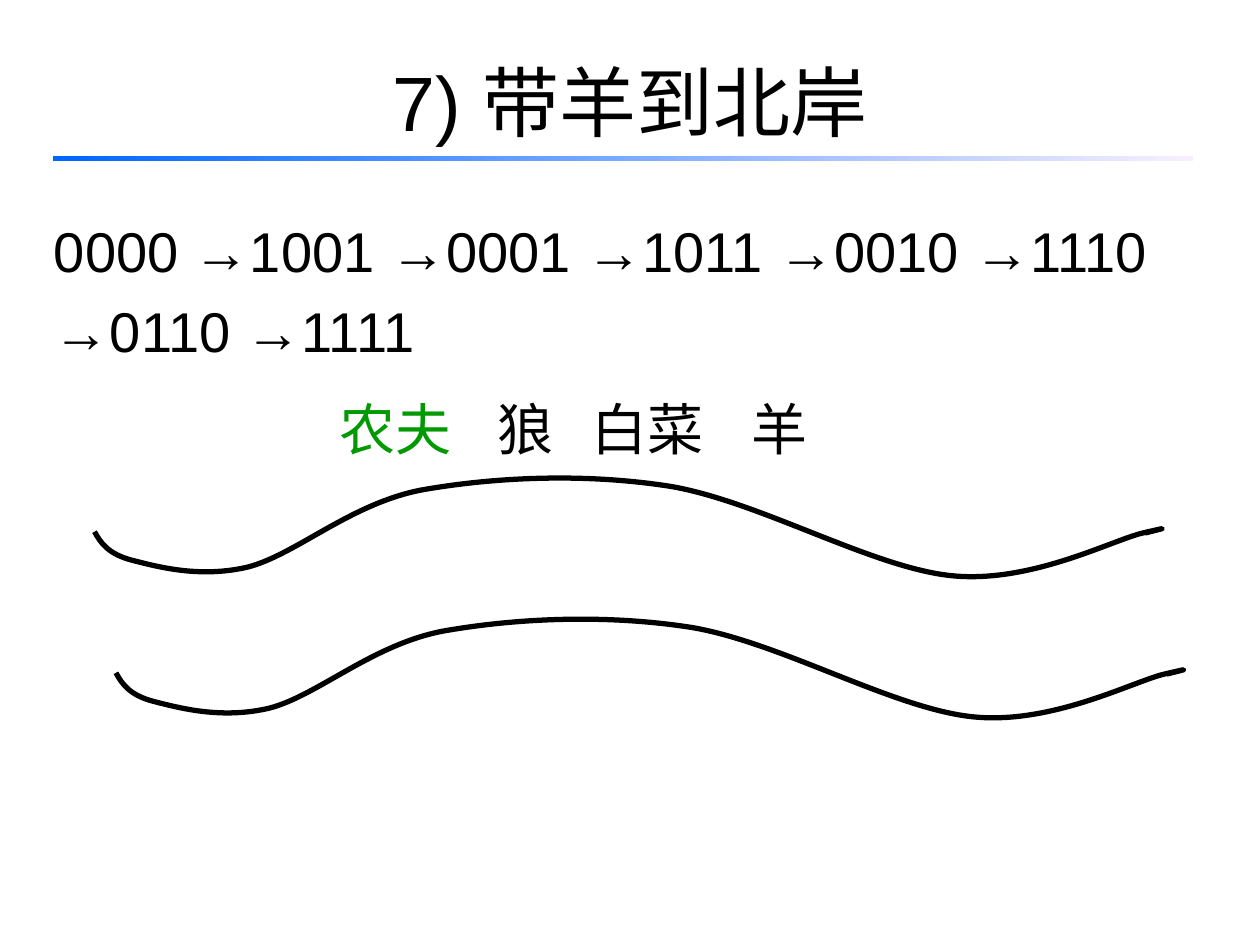
"""Build the river-crossing slide for step 7, taking the sheep to the north bank."""
from lxml.etree import SubElement
from pptx import Presentation
from pptx.dml.color import RGBColor
from pptx.enum.shapes import MSO_SHAPE as Shape
from pptx.enum.text import MSO_ANCHOR as Anchor, PP_ALIGN as Align
from pptx.oxml.ns import qn
from pptx.util import Inches, Pt

BLACK = RGBColor(0x00, 0x00, 0x00)
GREEN = RGBColor(0x00, 0x99, 0x00)
RULE_START = RGBColor(0x00, 0x66, 0xFF)
RULE_END = RGBColor(0xF7, 0xEF, 0xFF)

STEPS = ["0000 →1001 →0001 →1011 →0010 →1110", "→0110 →1111"]
PASSENGERS = [("农夫", 2.4, GREEN), ("狼", 3.65, BLACK), ("白菜", 4.4, BLACK), ("羊", 5.67, BLACK)]
BANK_START = (0.75, 4.22)
BANK_CONTROLS = [
    (0.8, 4.31), (0.86, 4.4), (1.06, 4.45),
    (1.26, 4.5), (1.59, 4.59), (1.97, 4.5),
    (2.35, 4.4), (2.78, 4), (3.34, 3.89),
    (3.9, 3.79), (4.62, 3.75), (5.32, 3.86),
    (6.03, 3.98), (6.93, 4.51), (7.56, 4.57),
    (8.18, 4.63), (8.82, 4.29), (9.07, 4.23),
    (9.33, 4.17), (9.21, 4.2), (9.09, 4.23),
]
BANK_OFFSETS = [(0, 0), (0.17, 1.12)]


def add_text(slide, lines, box, size=32, color=BLACK, align=Align.JUSTIFY,
             anchor=Anchor.TOP, margin=0, indent=0):
    frame = slide.shapes.add_textbox(*map(Inches, box)).text_frame
    frame.word_wrap = True
    frame.vertical_anchor = anchor
    for index, line in enumerate(lines):
        paragraph = frame.add_paragraph() if index else frame.paragraphs[0]
        paragraph.alignment = align
        if index:
            paragraph.space_before = Pt(7.4)
        properties = paragraph._p.get_or_add_pPr()
        properties.set("marL", str(Inches(margin)))
        properties.set("indent", str(Inches(indent)))
        run = paragraph.add_run()
        run.text = line
        run.font.name = "Arial"
        run.font.size = Pt(size)
        run.font.color.rgb = color


def add_title_rule(slide, box):
    rule = slide.shapes.add_shape(Shape.RECTANGLE, *map(Inches, box))
    rule.shadow.inherit = False
    rule.line.fill.background()
    rule.fill.gradient()
    rule.fill.gradient_angle = 0
    for stop, color in zip(rule.fill.gradient_stops, (RULE_START, RULE_END)):
        stop.color.rgb = color


def add_bank(slide, dx, dy):
    start, *controls = [(Inches(x + dx), Inches(y + dy)) for x, y in [BANK_START, *BANK_CONTROLS]]
    builder = slide.shapes.build_freeform(*start)
    builder.add_line_segments(controls, close=False)
    bank = builder.convert_to_shape()
    bank.shadow.inherit = False
    bank.fill.background()
    bank.line.color.rgb = BLACK
    bank.line.width = Pt(3)
    outline = next(bank._element.iter(qn("a:path")))
    segments = outline.findall(qn("a:lnTo"))
    for first in range(0, len(segments), 3):
        curve = SubElement(outline, qn("a:cubicBezTo"))
        for segment in segments[first:first + 3]:
            curve.append(segment[0])
            outline.remove(segment)


def main():
    deck = Presentation()
    deck.slide_width, deck.slide_height = Inches(10), Inches(7.5)
    slide = deck.slides.add_slide(deck.slide_layouts[6])
    add_text(slide, ["7) 带羊到北岸"], (0.5, 0.17, 9, 1.25), size=44,
             align=Align.CENTER, anchor=Anchor.MIDDLE)
    add_title_rule(slide, (0.42, 1.24, 9.05, 0.04))
    for dx, dy in BANK_OFFSETS:
        add_bank(slide, dx, dy)
    add_text(slide, STEPS, (0.33, 1.67, 9.33, 1.33), margin=0.38, indent=-0.38)
    for passenger, left, color in PASSENGERS:
        add_text(slide, [passenger], (left, 3.08, 1.33, 0.75), color=color, margin=0.2)
    deck.save("out.pptx")


if __name__ == "__main__":
    main()
